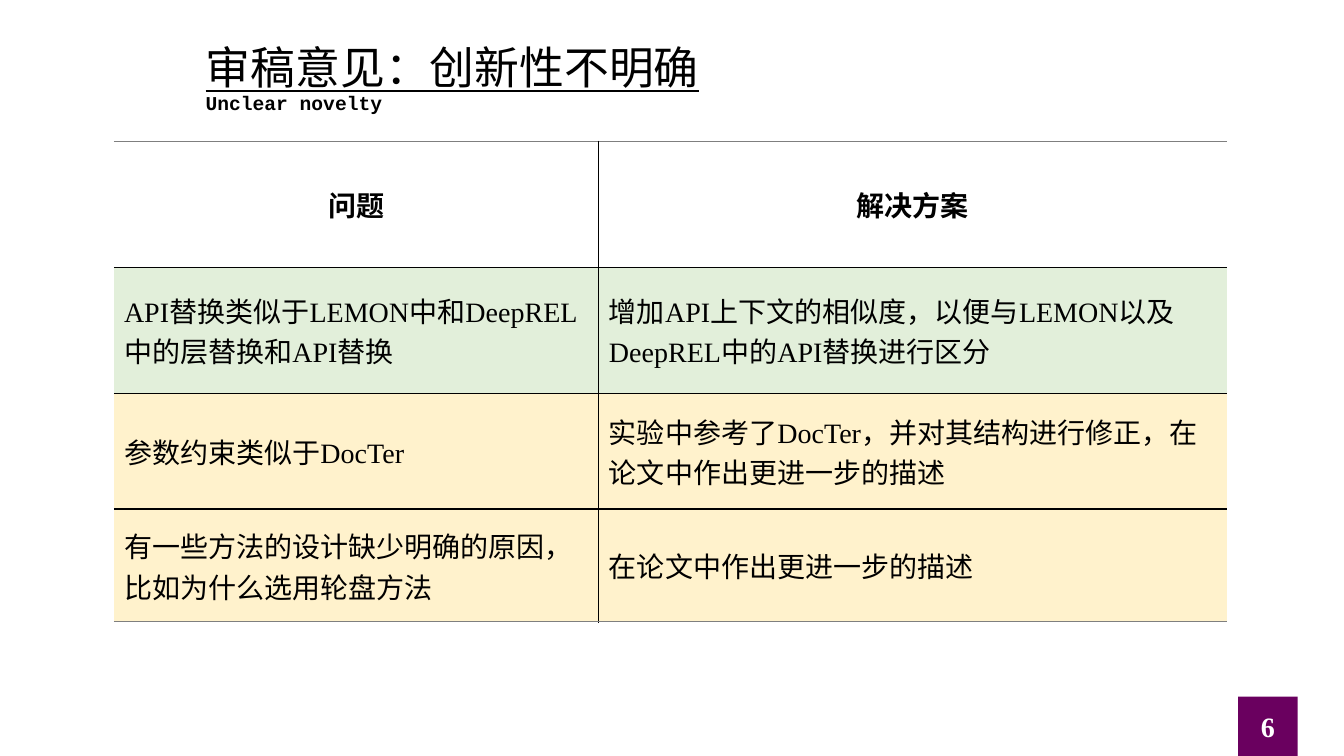
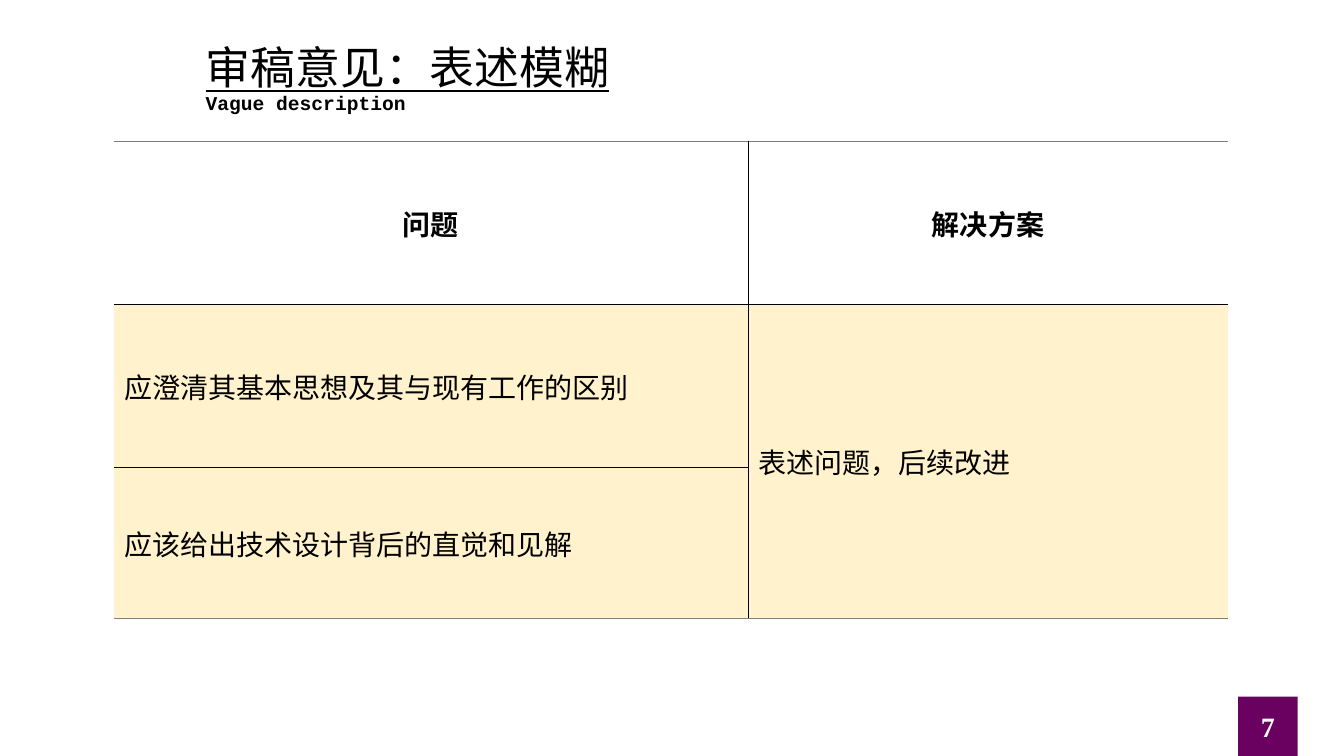
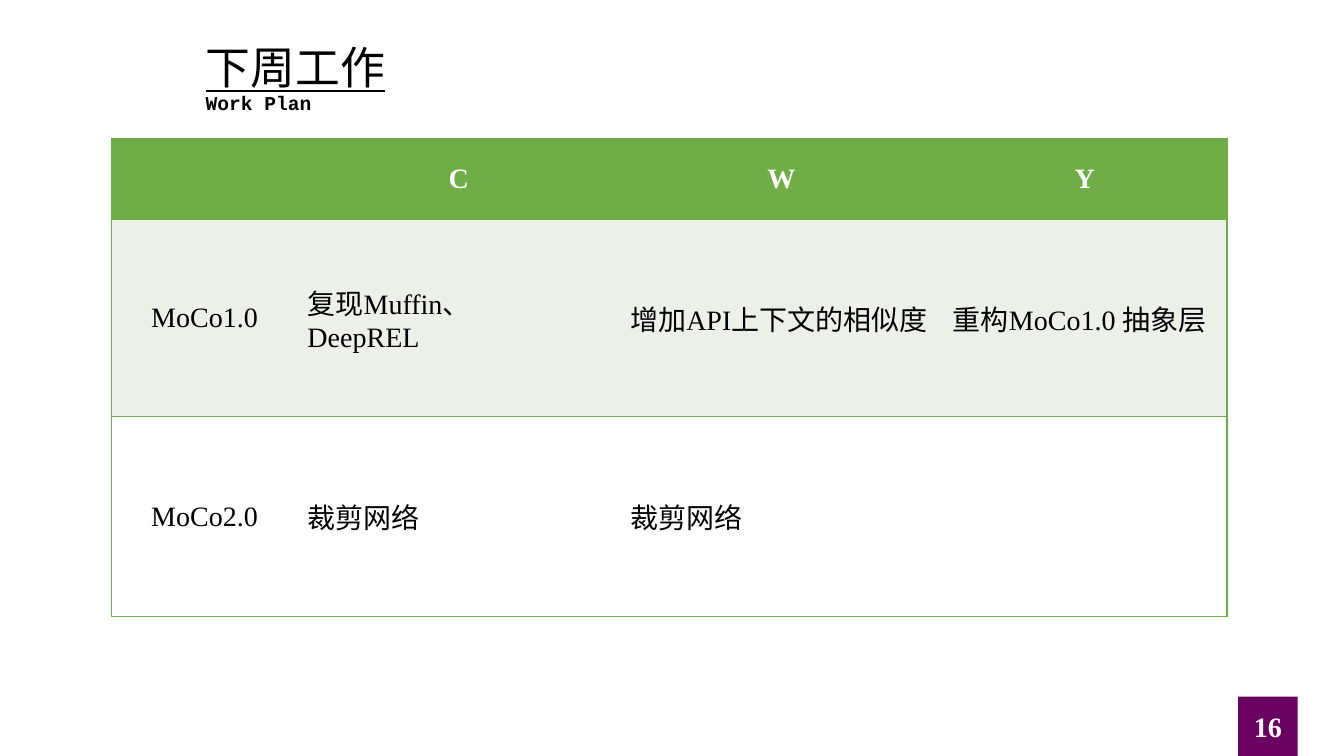
from lxml.etree import SubElement
from pptx import Presentation
from pptx.dml.color import RGBColor
from pptx.enum.lang import MSO_LANGUAGE_ID
from pptx.enum.shapes import MSO_SHAPE
from pptx.enum.text import MSO_ANCHOR, MSO_AUTO_SIZE, PP_ALIGN
from pptx.oxml.ns import qn
from pptx.util import Inches, Pt

BLACK, WHITE, GREY = "000000", "FFFFFF", "7F7F7F"
GREEN, PALE_GREEN, MINT, CREAM = "70AD47", "E2EFDA", "EBF1E9", "FFF2CC"
PURPLE = "6A005F"
SERIF, MONO = "Times New Roman", "Courier New"
TITLE_ONLY = 5
PLAIN_TABLE_STYLE = "{2D5ABB26-0587-4C30-8999-92F81FD0307C}"

REVIEW_LOOK = dict(fills=[None, CREAM, CREAM, CREAM], header_color=BLACK, centred_columns=0,
                   ends=GREY, sides=None, rows=BLACK, columns=BLACK)
PLAN_LOOK = dict(fills=[GREEN, MINT, WHITE], header_color=WHITE, centred_columns=1,
                 ends=GREEN, sides=GREEN, rows=GREEN, columns=None)

PAGES = [
    dict(number="6", title="审稿意见：创新性不明确", subtitle="Unclear novelty",
         origin=(1.13, 1.4), widths=[4.81, 6.23], heights=[1.25, 1.25, 1.15, 1.12],
         look={**REVIEW_LOOK, "fills": [None, PALE_GREEN, CREAM, CREAM]}, merges=[],
         cells=[["问题", "解决方案"],
                ["API替换类似于LEMON中和DeepREL中的层替换和API替换",
                 "增加API上下文的相似度，以便与LEMON以及DeepREL中的API替换进行区分"],
                ["参数约束类似于DocTer",
                 "实验中参考了DocTer，并对其结构进行修正，在论文中作出更进一步的描述"],
                ["有一些方法的设计缺少明确的原因，比如为什么选用轮盘方法",
                 "在论文中作出更进一步的描述"]]),
    dict(number="7", title="审稿意见：表述模糊", subtitle="Vague description",
         origin=(1.13, 1.4), widths=[6.29, 4.76], heights=[1.62, 1.62, 1.5],
         look=REVIEW_LOOK, merges=[((1, 1), (2, 1))],
         cells=[["问题", "解决方案"],
                ["应澄清其基本思想及其与现有工作的区别", "表述问题，后续改进"],
                ["应该给出技术设计背后的直觉和见解", ""]]),
    dict(number="16", title="下周工作", subtitle="Work Plan",
         origin=(1.11, 1.37), widths=[1.84, 3.2, 3.2, 2.82], heights=[0.81, 1.95, 1.99],
         look=PLAN_LOOK, merges=[],
         cells=[["", "C", "W", "Y"],
                ["MoCo1.0", "复现Muffin、\nDeepREL", "增加API上下文的相似度", "重构MoCo1.0 抽象层"],
                ["MoCo2.0", "裁剪网络", "裁剪网络", ""]]),
]


def rgb(color):
    return RGBColor.from_string(color)


def write(frame, text, size=20, font=SERIF, color=BLACK, bold=False, underline=False,
          align=PP_ALIGN.LEFT):
    para = frame.paragraphs[0]
    para.alignment = align
    for index, line in enumerate(text.split("\n")):
        if index:
            para.add_line_break()
        span = para.add_run()
        span.text = line
        span.font.name, span.font.size = font, Pt(size)
        span.font.bold, span.font.underline = bold, underline
        span.font.color.rgb = rgb(color)
        span.font.language_id = MSO_LANGUAGE_ID.SIMPLIFIED_CHINESE


def set_up_frame(frame, anchor):
    frame.word_wrap = True
    frame.auto_size = MSO_AUTO_SIZE.NONE
    frame.vertical_anchor = anchor


def add_heading(page, title, subtitle):
    heading = page.shapes.title
    heading.left, heading.top = Inches(1.94), Inches(0.34)
    heading.width, heading.height = Inches(7.97), Inches(0.64)
    set_up_frame(heading.text_frame, MSO_ANCHOR.TOP)
    write(heading.text_frame, title, size=32, underline=True)
    box = page.shapes.add_textbox(heading.left, Inches(0.85), Inches(6.77), Inches(0.34))
    set_up_frame(box.text_frame, MSO_ANCHOR.TOP)
    write(box.text_frame, subtitle, size=14, font=MONO, bold=True)


def add_page_number(page, number):
    badge = page.shapes.add_shape(MSO_SHAPE.RECTANGLE, Inches(12.28), Inches(6.91),
                                  Inches(0.59), Inches(0.59))
    badge.shadow.inherit = False
    badge.fill.solid()
    badge.fill.fore_color.rgb = rgb(PURPLE)
    badge.line.fill.background()
    frame = badge.text_frame
    set_up_frame(frame, MSO_ANCHOR.MIDDLE)
    frame.margin_left = frame.margin_right = 0
    write(frame, number, color=WHITE, bold=True, align=PP_ALIGN.CENTER)


def set_borders(cell, **colors):
    """Draw 1 pt borders; the keys are L, R, T, B in that order."""
    properties = cell._tc.get_or_add_tcPr()
    for side, color in colors.items():
        if color:
            line = SubElement(properties, qn(f"a:ln{side}"), w=str(Pt(1)))
            SubElement(SubElement(line, qn("a:solidFill")), qn("a:srgbClr"), val=color)


def add_grid(page, origin, widths, heights, cells, look, merges):
    left, top = origin
    table = page.shapes.add_table(len(heights), len(widths), Inches(left), Inches(top),
                                  Inches(sum(widths)), Inches(sum(heights))).table
    table.first_row = table.horz_banding = False
    table._tbl.tblPr.find(qn("a:tableStyleId")).text = PLAIN_TABLE_STYLE
    for column, width in zip(table.columns, widths):
        column.width = Inches(width)
    for row, height in zip(table.rows, heights):
        row.height = Inches(height)
    for start, end in merges:
        table.cell(*start).merge(table.cell(*end))

    last_row, last_column = len(heights) - 1, len(widths) - 1
    for r, texts in enumerate(cells):
        for c, text in enumerate(texts):
            cell = table.cell(r, c)
            bottom_row = r + cell.span_height - 1 if cell.is_merge_origin else r
            set_borders(cell,
                        L=look["columns"] if c else look["sides"],
                        R=look["columns"] if c < last_column else look["sides"],
                        T=None if cell.is_spanned else look["rows"] if r else look["ends"],
                        B=look["rows"] if bottom_row < last_row else look["ends"])
            cell.vertical_anchor = MSO_ANCHOR.MIDDLE
            if look["fills"][r]:
                cell.fill.solid()
                cell.fill.fore_color.rgb = rgb(look["fills"][r])
            else:
                cell.fill.background()
            if text:
                header = r == 0
                centred = header or c < look["centred_columns"]
                write(cell.text_frame, text, bold=header,
                      color=look["header_color"] if header else BLACK,
                      align=PP_ALIGN.CENTER if centred else PP_ALIGN.LEFT)


def main():
    deck = Presentation()
    deck.slide_width, deck.slide_height = Inches(13.33), Inches(7.5)
    for content in PAGES:
        page = deck.slides.add_slide(deck.slide_layouts[TITLE_ONLY])
        add_page_number(page, content["number"])
        add_heading(page, content["title"], content["subtitle"])
        add_grid(page, *(content[key] for key in
                         ("origin", "widths", "heights", "cells", "look", "merges")))
    deck.save("out.pptx")


if __name__ == "__main__":
    main()
